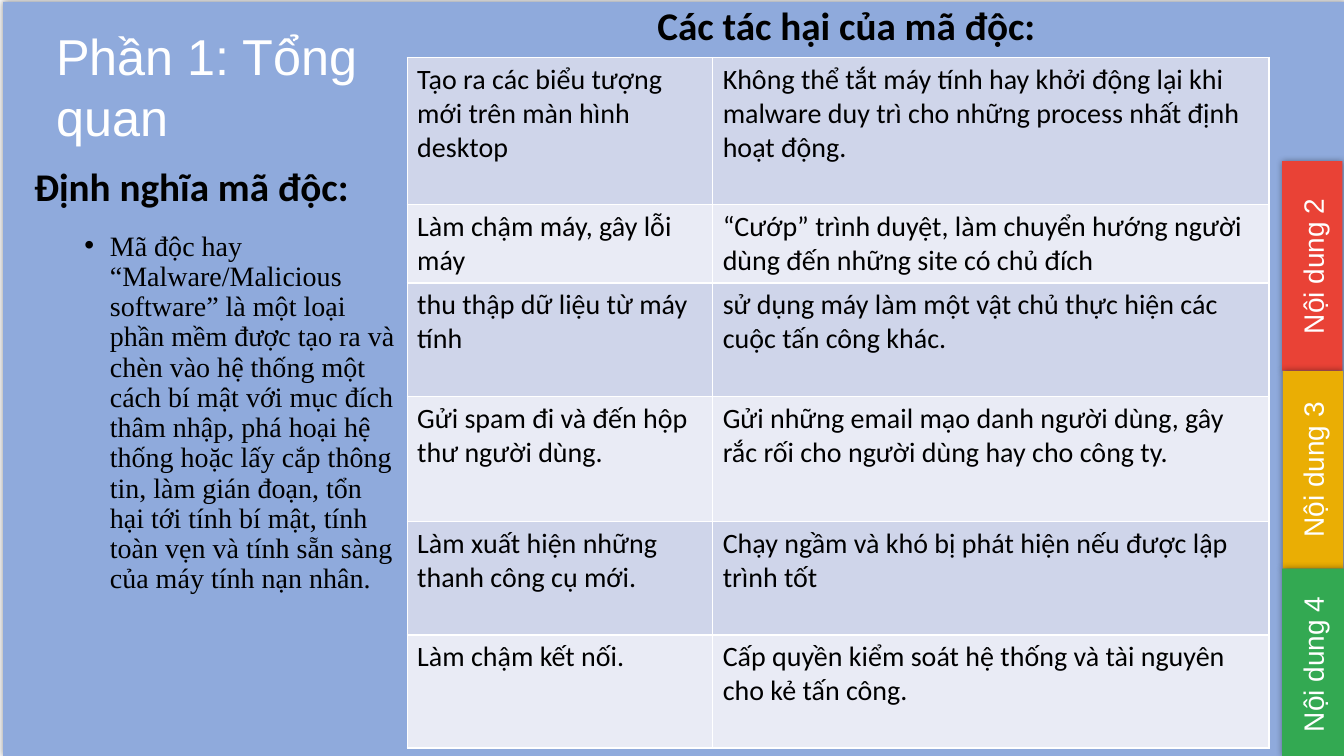
from dataclasses import dataclass

from lxml.etree import SubElement
from pptx import Presentation
from pptx.dml.color import RGBColor
from pptx.enum.shapes import MSO_SHAPE
from pptx.enum.text import MSO_ANCHOR, PP_ALIGN
from pptx.oxml.ns import qn
from pptx.util import Cm, Pt


@dataclass(frozen=True)
class Theme:
    background: str = "8FAADC"
    red: str = "E94236"
    yellow: str = "EAAE04"
    green: str = "33A952"
    white: str = "FFFFFF"
    black: str = "000000"
    bands: tuple = ("CFD5EA", "E9EBF5")
    title_size: int = 36
    heading_size: int = 28
    body_size: int = 20
    label_font: str = "Arial"
    heading_font: str = "Calibri"
    definition_font: str = "Times New Roman"


theme = Theme()


def add_panel(left, top, width, height, color):
    shape = slide.shapes.add_shape(
        MSO_SHAPE.RECTANGLE, Cm(left), Cm(top), Cm(width), Cm(height)
    )
    shape.fill.solid()
    shape.fill.fore_color.rgb = RGBColor.from_string(color)
    shape.line.fill.background()
    shape.shadow.inherit = False
    effects = shape._element.spPr.find(qn("a:effectLst"))
    shadow = SubElement(effects, qn("a:outerShdw"), blurRad=str(Pt(5)), dist="0", dir="0")
    shadow_color = SubElement(shadow, qn("a:srgbClr"), val=theme.black)
    SubElement(shadow_color, qn("a:alpha"), val="40000")


def add_text(left, top, width, height, lines, font, size, color, bold=False):
    shape = slide.shapes.add_textbox(Cm(left), Cm(top), Cm(width), Cm(height))
    frame = shape.text_frame
    frame.word_wrap = True
    frame.text = "\n".join(lines)
    for paragraph in frame.paragraphs:
        paragraph.font.name = font
        paragraph.font.size = Pt(size)
        paragraph.font.bold = bold
        paragraph.font.color.rgb = RGBColor.from_string(color)
    return shape


presentation = Presentation()
presentation.slide_width = Cm(33.87)
presentation.slide_height = Cm(19.05)
slide = presentation.slides.add_slide(presentation.slide_layouts[6])

add_panel(0.08, 0.05, 33.87, 19, theme.background)

tabs = [
    ("Nội dung 2", 32.31, 4.06, 1.52, 5.28, theme.red, 6.71),
    ("Nội dung 3", 32.33, 9.35, 1.52, 4.98, theme.yellow, 11.84),
    ("Nội dung 4", 32.31, 14.33, 1.63, 4.72, theme.green, 16.74),
]
for label, left, top, width, height, color, center in tabs:
    add_panel(left, top, width, height, color)

add_text(1.17, 0.51, 19.02, 3.33, ["Phần 1: Tổng", "quan"],
         theme.label_font, theme.title_size, theme.white)

for label, left, top, width, height, color, center in tabs:
    tab_label = add_text(30.78, center - 0.56, 4.62, 1.12, [label],
                         theme.label_font, theme.body_size, theme.white)
    tab_label.rotation = 270
    tab_label.text_frame.paragraphs[0].alignment = PP_ALIGN.CENTER

definition_heading = add_text(0.61, 2.54, 10.92, 4.45, ["Định nghĩa mã độc:"],
                              theme.heading_font, theme.heading_size, theme.black, True)
definition_heading.text_frame.vertical_anchor = MSO_ANCHOR.MIDDLE

harm_heading = add_text(9.19, 0.05, 17.15, 13.54, ["Các tác hại của mã độc:"],
                        theme.heading_font, theme.heading_size, theme.black, True)
harm_heading.text_frame.paragraphs[0].alignment = PP_ALIGN.RIGHT

definition = add_text(
    1.88, 5.72, 8.38, 10.59,
    ["Mã độc hay “Malware/Malicious software” là một loại phần mềm được tạo ra và "
     "chèn vào hệ thống một cách bí mật với mục đích thâm nhập, phá hoại hệ thống "
     "hoặc lấy cắp thông tin, làm gián đoạn, tổn hại tới tính bí mật, tính toàn vẹn "
     "và tính sẵn sàng của máy tính nạn nhân."],
    theme.definition_font, theme.body_size, theme.black,
)
for shape in (definition_heading, harm_heading, definition):
    shape.text_frame.paragraphs[0].line_spacing = 0.9

properties = definition.text_frame.paragraphs[0]._p.get_or_add_pPr()
properties.set("marL", str(Cm(0.64)))
properties.set("indent", str(-Cm(0.64)))
bullet_font = properties.makeelement(qn("a:buFont"), {"typeface": theme.label_font})
bullet = properties.makeelement(qn("a:buChar"), {"char": "•"})
run_defaults = properties.find(qn("a:defRPr"))
run_defaults.addprevious(bullet_font)
run_defaults.addprevious(bullet)

harms = [
    (3.71, "Tạo ra các biểu tượng mới trên màn hình desktop",
     "Không thể tắt máy tính hay khởi động lại khi malware duy trì cho những "
     "process nhất định hoạt động."),
    (1.97, "Làm chậm máy, gây lỗi máy",
     "“Cướp” trình duyệt, làm chuyển hướng người dùng đến những site có chủ đích"),
    (2.86, "thu thập dữ liệu từ máy tính",
     "sử dụng máy làm một vật chủ thực hiện các cuộc tấn công khác."),
    (3.16, "Gửi spam đi và đến hộp thư người dùng.",
     "Gửi những email mạo danh người dùng, gây rắc rối cho người dùng hay cho công ty."),
    (2.85, "Làm xuất hiện những thanh công cụ mới.",
     "Chạy ngầm và khó bị phát hiện nếu được lập trình tốt"),
    (2.85, "Làm chậm kết nối.",
     "Cấp quyền kiểm soát hệ thống và tài nguyên cho kẻ tấn công."),
]
table = slide.shapes.add_table(
    len(harms), 2, Cm(10.26), Cm(1.45), Cm(21.72), Cm(17.4)
).table
table.first_row = False
table.horz_banding = False
table.columns[0].width = Cm(7.7)
table.columns[1].width = Cm(14.02)

for row_index, (height, *texts) in enumerate(harms):
    table.rows[row_index].height = Cm(height)
    for column_index, text in enumerate(texts):
        cell = table.cell(row_index, column_index)
        cell.text = text
        font = cell.text_frame.paragraphs[0].font
        font.name = theme.heading_font
        font.size = Pt(theme.body_size)
        font.color.rgb = RGBColor.from_string(theme.black)
        cell_properties = cell._tc.get_or_add_tcPr()
        for side in ("a:lnL", "a:lnR", "a:lnT", "a:lnB"):
            border = SubElement(cell_properties, qn(side), w=str(Pt(1)))
            border_fill = SubElement(border, qn("a:solidFill"))
            SubElement(border_fill, qn("a:srgbClr"), val=theme.white)
        cell.fill.solid()
        cell.fill.fore_color.rgb = RGBColor.from_string(theme.bands[row_index % 2])

presentation.save("out.pptx")
